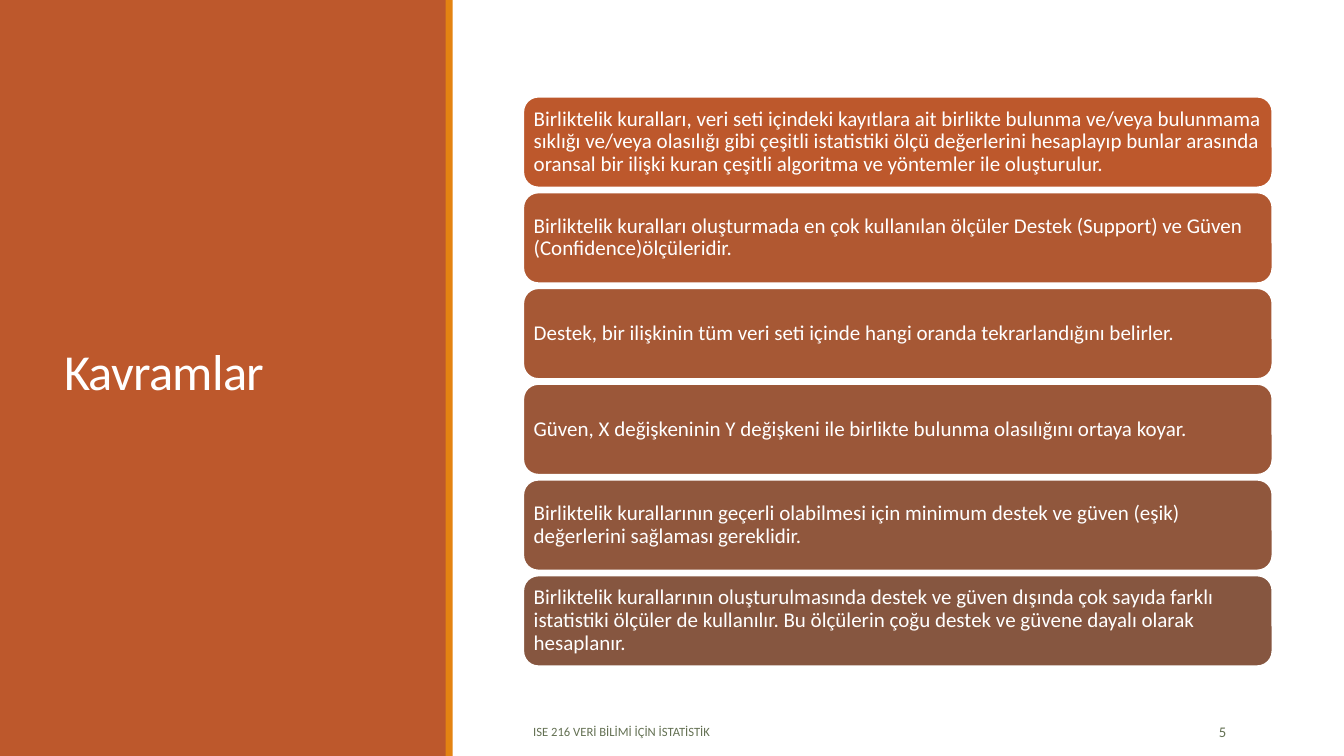
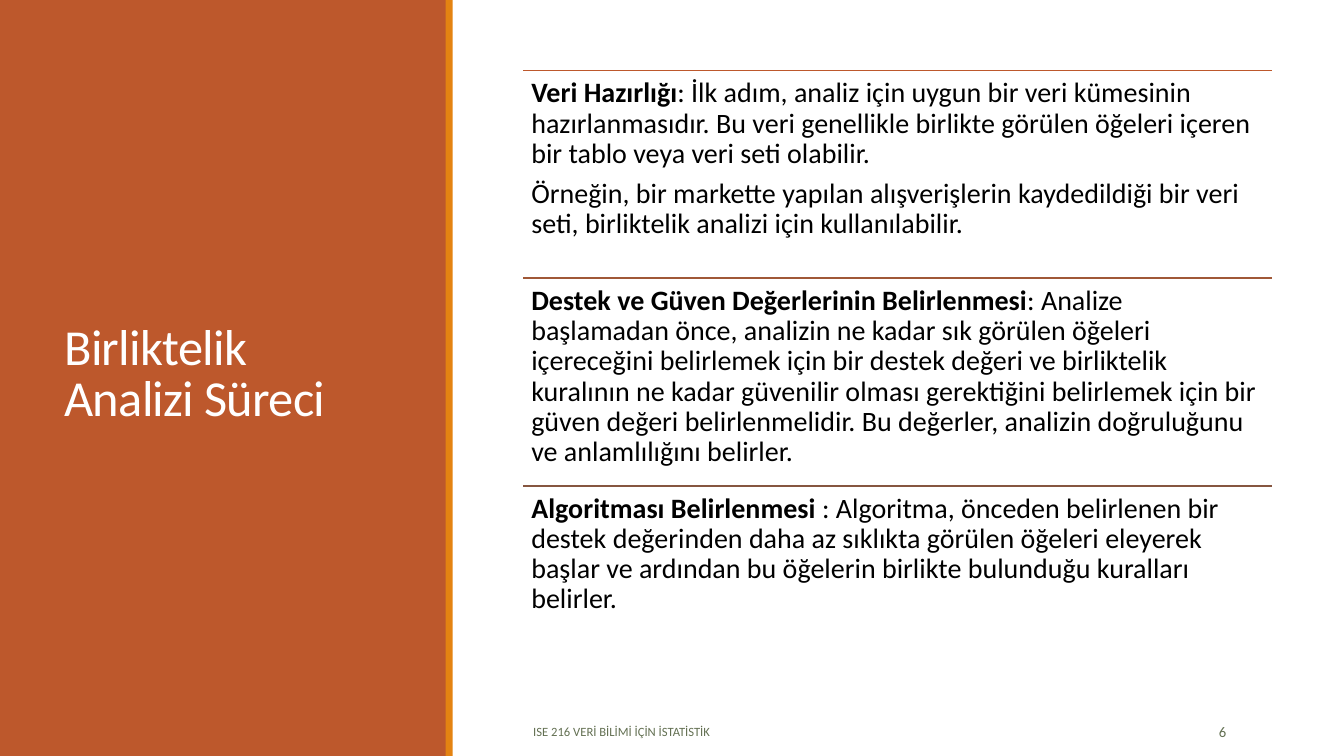
from dataclasses import dataclass

from lxml import etree
from pptx import Presentation
from pptx.dml.color import RGBColor
from pptx.enum.shapes import MSO_CONNECTOR, MSO_SHAPE
from pptx.enum.text import MSO_ANCHOR, PP_ALIGN
from pptx.oxml.ns import qn
from pptx.slide import Slide
from pptx.text.text import TextFrame
from pptx.util import Inches, Pt

RECT = MSO_SHAPE.RECTANGLE
ROUNDED = MSO_SHAPE.ROUNDED_RECTANGLE
STRAIGHT = MSO_CONNECTOR.STRAIGHT
TOP, MIDDLE = MSO_ANCHOR.TOP, MSO_ANCHOR.MIDDLE
LEFT, RIGHT = PP_ALIGN.LEFT, PP_ALIGN.RIGHT

WHITE = RGBColor(0xFF, 0xFF, 0xFF)
BLACK = RGBColor(0x00, 0x00, 0x00)
RUST = RGBColor(0xBD, 0x58, 0x2C)
RUST_2 = RGBColor(0xB1, 0x58, 0x31)
RUST_3 = RGBColor(0xA6, 0x58, 0x35)
RUST_MID = RGBColor(0xA0, 0x58, 0x37)
RUST_4 = RGBColor(0x9B, 0x57, 0x39)
RUST_5 = RGBColor(0x90, 0x57, 0x3D)
BROWN = RGBColor(0x86, 0x56, 0x40)
ORANGE = RGBColor(0xE4, 0x83, 0x12)
OLIVE = RGBColor(0x63, 0x70, 0x52)

FONT = "Calibri"
FOOTER = "ISE 216 VERİ BİLİMİ İÇİN İSTATİSTİK"
BODY_X, BODY_W = 5.19, 7.43
CARD_Y, CARD_H, CARD_STEP = 0.96, 0.9, 0.95
STEP_Y, STEP_H = 0.7, 2.06


@dataclass(frozen=True)
class Style:
    size: float
    color: RGBColor
    align: PP_ALIGN = LEFT
    line: float = 1.0
    after: float = 0
    tracking: int = 0


@dataclass(frozen=True)
class Card:
    color: RGBColor
    text: str


@dataclass(frozen=True)
class Step:
    color: RGBColor
    heading: str
    text: str
    example: str = ""


TITLE_STYLE = Style(36, WHITE, line=0.85, tracking=-50)
FOOTER_STYLE = Style(9, OLIVE, after=6)
NUMBER_STYLE = Style(10.5, OLIVE, RIGHT, after=6)
CARD_STYLE = Style(15, WHITE, line=0.9, after=5)
STEP_STYLE = Style(20, BLACK, line=0.9, after=7)

CARDS = [
    Card(RUST, "Birliktelik kuralları, veri seti içindeki kayıtlara ait birlikte bulunma "
         "ve/veya bulunmama sıklığı ve/veya olasılığı gibi çeşitli istatistiki ölçü "
         "değerlerini hesaplayıp bunlar arasında oransal bir ilişki kuran çeşitli "
         "algoritma ve yöntemler ile oluşturulur."),
    Card(RUST_2, "Birliktelik kuralları oluşturmada en çok kullanılan ölçüler Destek "
         "(Support) ve Güven (Confidence)ölçüleridir."),
    Card(RUST_3, "Destek, bir ilişkinin tüm veri seti içinde hangi oranda "
         "tekrarlandığını belirler."),
    Card(RUST_4, "Güven, X değişkeninin Y değişkeni ile birlikte bulunma olasılığını "
         "ortaya koyar."),
    Card(RUST_5, "Birliktelik kurallarının geçerli olabilmesi için minimum destek ve "
         "güven (eşik) değerlerini sağlaması gereklidir."),
    Card(BROWN, "Birliktelik kurallarının oluşturulmasında destek ve güven dışında çok "
         "sayıda farklı istatistiki ölçüler de kullanılır. Bu ölçülerin çoğu destek ve "
         "güvene dayalı olarak hesaplanır."),
]

STEPS = [
    Step(RUST, "Veri Hazırlığı",
         ": İlk adım, analiz için uygun bir veri kümesinin hazırlanmasıdır. Bu veri "
         "genellikle birlikte görülen öğeleri içeren bir tablo veya veri seti olabilir.",
         "Örneğin, bir markette yapılan alışverişlerin kaydedildiği bir veri seti, "
         "birliktelik analizi için kullanılabilir."),
    Step(RUST_MID, "Destek ve Güven Değerlerinin Belirlenmesi",
         ": Analize başlamadan önce, analizin ne kadar sık görülen öğeleri içereceğini "
         "belirlemek için bir destek değeri ve birliktelik kuralının ne kadar güvenilir "
         "olması gerektiğini belirlemek için bir güven değeri belirlenmelidir. Bu "
         "değerler, analizin doğruluğunu ve anlamlılığını belirler."),
    Step(BROWN, "Algoritması Belirlenmesi",
         " : Algoritma, önceden belirlenen bir destek değerinden daha az sıklıkta "
         "görülen öğeleri eleyerek başlar ve ardından bu öğelerin birlikte bulunduğu "
         "kuralları belirler."),
]


def set_frame(tf: TextFrame, anchor: MSO_ANCHOR, inset: float | None = None) -> None:
    tf.word_wrap = True
    tf.vertical_anchor = anchor
    if inset is not None:
        tf.margin_left = tf.margin_right = Inches(inset)
        tf.margin_top = tf.margin_bottom = Inches(inset)


def write(tf: TextFrame, style: Style, *paragraphs: list[tuple[str, bool]]) -> None:
    for i, runs in enumerate(paragraphs):
        p = tf.add_paragraph() if i else tf.paragraphs[0]
        p.alignment = style.align
        p.line_spacing = style.line
        p.space_after = Pt(style.after)
        for text, bold in runs:
            r = p.add_run()
            r.text = text
            r.font.name = FONT
            r.font.size = Pt(style.size)
            r.font.bold = bold
            r.font.color.rgb = style.color
            if style.tracking:
                r.font._element.set("spc", str(style.tracking))


def add_text(s: Slide, x: float, y: float, w: float, h: float, style: Style,
             *paragraphs: list[tuple[str, bool]], anchor: MSO_ANCHOR = MIDDLE,
             inset: float | None = None) -> None:
    tf = s.shapes.add_textbox(Inches(x), Inches(y), Inches(w), Inches(h)).text_frame
    set_frame(tf, anchor, inset)
    write(tf, style, *paragraphs)


def add_band(s: Slide, x: float, w: float, color: RGBColor) -> None:
    sp = s.shapes.add_shape(RECT, Inches(x), 0, Inches(w), Inches(7.5))
    sp.shadow.inherit = False
    sp.fill.solid()
    sp.fill.fore_color.rgb = color
    sp.line.fill.background()


def add_card(s: Slide, y: float, card: Card) -> None:
    sp = s.shapes.add_shape(ROUNDED, Inches(BODY_X), Inches(y), Inches(BODY_W), Inches(CARD_H))
    sp.shadow.inherit = False
    sp.fill.solid()
    sp.fill.fore_color.rgb = card.color
    sp.line.color.rgb = WHITE
    sp.line.width = Pt(1.25)
    set_frame(sp.text_frame, MIDDLE, 0.06)
    write(sp.text_frame, CARD_STYLE, [(card.text, False)])


def add_step(s: Slide, y: float, step: Step) -> None:
    rule = s.shapes.add_connector(STRAIGHT, Inches(BODY_X), Inches(y),
                                  Inches(BODY_X + BODY_W), Inches(y))
    rule.line.color.rgb = step.color
    rule.line.width = Pt(1.25)
    etree.SubElement(rule._element.spPr, qn("a:effectLst"))
    paragraphs = [[(step.heading, True), (step.text, False)]]
    if step.example:
        paragraphs.append([(step.example, False)])
    add_text(s, BODY_X, y, BODY_W, STEP_H, STEP_STYLE, *paragraphs, anchor=TOP, inset=0.08)


def add_slide(prs: Presentation, title: str, number: int) -> Slide:
    s = prs.slides.add_slide(prs.slide_layouts[6])
    add_band(s, 0, 4.43, RUST)
    add_text(s, 0.54, 0.57, 3.37, 6.31, TITLE_STYLE, [(title, False)])
    add_band(s, 4.42, 0.07, ORANGE)
    add_text(s, BODY_X, 7.06, 5.58, 0.4, FOOTER_STYLE, [(FOOTER, False)])
    add_text(s, 11.07, 7.06, 1.19, 0.4, NUMBER_STYLE, [(str(number), False)])
    return s


def main() -> None:
    prs = Presentation()
    prs.slide_width, prs.slide_height = Inches(13.33), Inches(7.5)

    s = add_slide(prs, "Kavramlar", 5)
    for i, card in enumerate(CARDS):
        add_card(s, CARD_Y + i * CARD_STEP, card)

    s = add_slide(prs, "Birliktelik Analizi Süreci", 6)
    for i, step in enumerate(STEPS):
        add_step(s, STEP_Y + i * STEP_H, step)

    prs.save("out.pptx")


if __name__ == "__main__":
    main()
